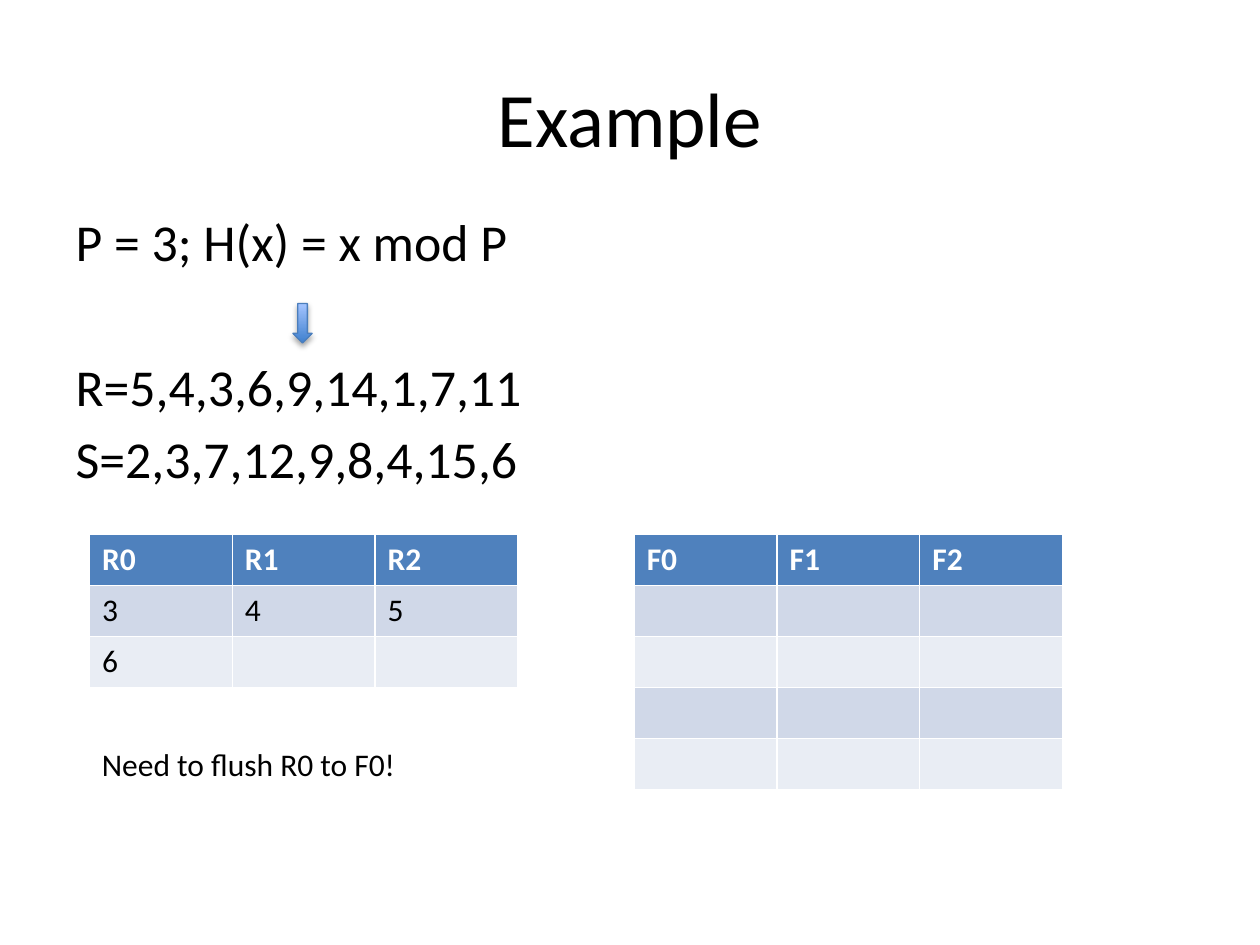
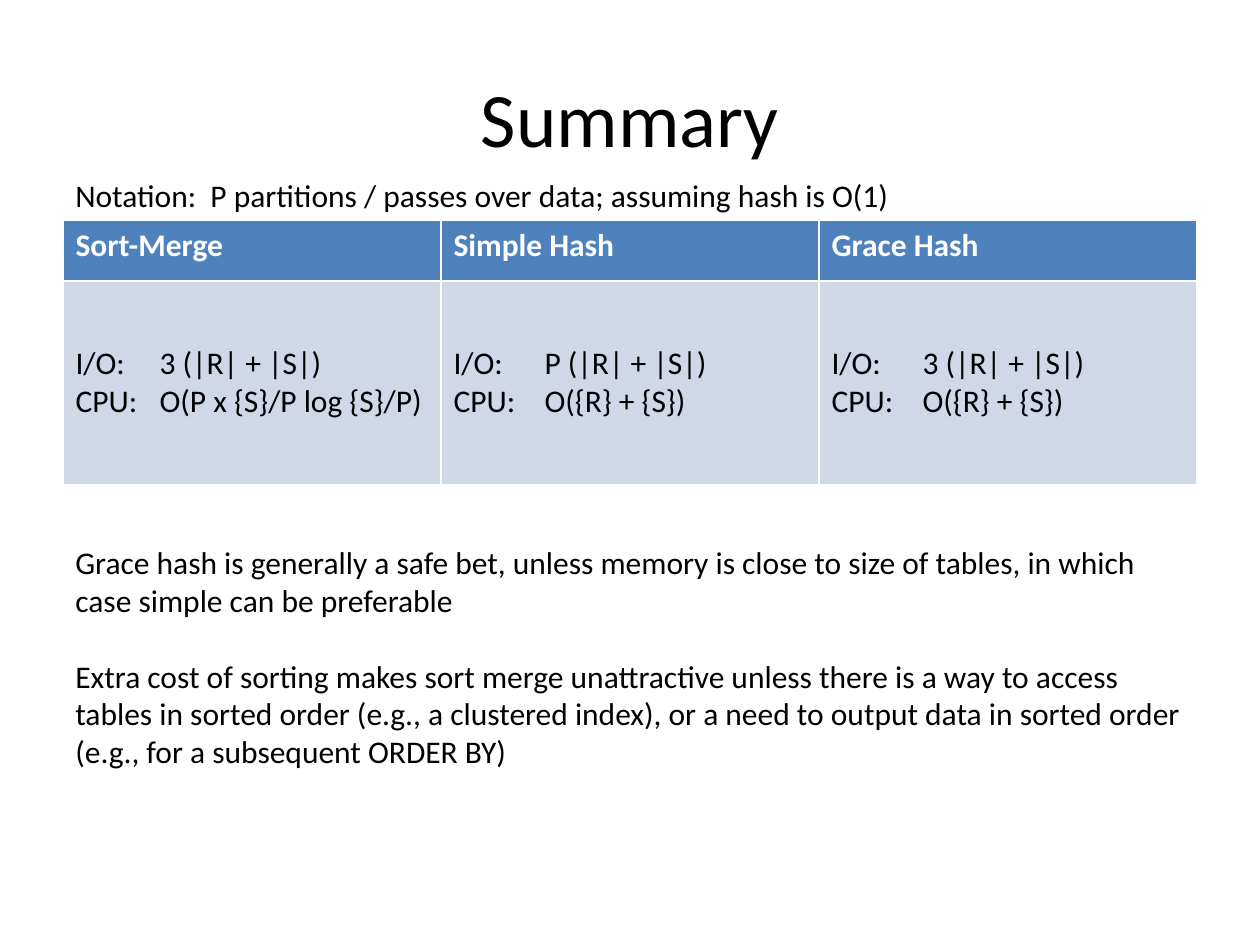
"""Build two slides on hash joins: a worked example and a summary."""
from lxml.etree import SubElement
from pptx import Presentation
from pptx.dml.color import RGBColor
from pptx.enum.shapes import MSO_SHAPE
from pptx.enum.text import MSO_ANCHOR, MSO_AUTO_SIZE, PP_ALIGN
from pptx.oxml.ns import qn
from pptx.util import Pt

FONT = "Calibri"
BLACK = RGBColor(0x00, 0x00, 0x00)
WHITE = RGBColor(0xFF, 0xFF, 0xFF)
HEAD = RGBColor(0x4F, 0x81, 0xBD)
BANDS = [RGBColor(0xE9, 0xED, 0xF4), RGBColor(0xD0, 0xD8, 0xE8)]
DEEP = RGBColor(0x3F, 0x80, 0xCE)
PALE = RGBColor(0xA4, 0xC4, 0xFF)
EDGE = RGBColor(0x4B, 0x7E, 0xBC)
LEFT, WIDTH = 36, 648


def style(frame, size, color=BLACK, bold=False):
    for para in frame.paragraphs:
        for font in [para.font] + [run.font for run in para.runs]:
            font.name = FONT
            font.size = Pt(size)
            font.bold = bold
            font.color.rgb = color


def grid(slide, left, top, width, heights, rows):
    box = slide.shapes.add_table(len(rows), len(rows[0]), Pt(left), Pt(top),
                                 Pt(width), Pt(sum(heights)))
    table = box.table
    for r, (high, row) in enumerate(zip(heights, rows)):
        table.rows[r].height = Pt(high)
        for c, text in enumerate(row):
            cell = table.cell(r, c)
            cell.text_frame.text = text
            style(cell.text_frame, 18, BLACK if r else WHITE, r == 0)
            cell.fill.solid()
            cell.fill.fore_color.rgb = BANDS[r % 2] if r else HEAD
    return table


deck = Presentation()
deck.slide_width, deck.slide_height = Pt(720), Pt(540)
demo = deck.slides.add_slide(deck.slide_layouts[1])
recap = deck.slides.add_slide(deck.slide_layouts[5])

for slide, text in [(demo, "Example"), (recap, "Summary")]:
    title = slide.shapes.title
    title.left, title.top = Pt(LEFT), Pt(21.6)
    title.width, title.height = Pt(WIDTH), Pt(90)
    frame = title.text_frame
    frame.text = text
    frame.vertical_anchor = MSO_ANCHOR.MIDDLE
    frame.paragraphs[0].alignment = PP_ALIGN.CENTER
    style(frame, 44)

body = demo.placeholders[1]
body.left, body.top = Pt(LEFT), Pt(116)
body.width, body.height = Pt(WIDTH), Pt(159)
frame = body.text_frame
frame.text = "P = 3; H(x) = x mod P\nR=5,4,3,6,9,14,1,7,11\nS=2,3,7,12,9,8,4,15,6"
frame.auto_size = MSO_AUTO_SIZE.NONE
style(frame, 29.6)
for para, gap in zip(frame.paragraphs, [5.9, 47.5, 5.9]):
    para.space_before = Pt(gap)
    props = para._p.get_or_add_pPr()
    props.set("marL", "0")
    props.set("indent", "0")
    SubElement(props, qn("a:buNone"))

grid(demo, 51.2, 305.3, 244.8, [29.2] * 3,
     [["R0", "R1", "R2"], ["3", "4", "5"], ["6", "", ""]])
grid(demo, 362.4, 305.3, 244.8, [29.2] * 5,
     [["F0", "F1", "F2"]] + [[""] * 3] * 4)

arrow = demo.shapes.add_shape(MSO_SHAPE.DOWN_ARROW, Pt(167.4), Pt(173.5),
                              Pt(11), Pt(22.5))
arrow.fill.gradient()
arrow.fill.gradient_angle = 90
for stop, color, place in zip(arrow.fill.gradient_stops, [DEEP, PALE], [0, 1]):
    stop.color.rgb = color
    stop.position = place
arrow.line.color.rgb = EDGE
arrow.line.width = Pt(0.75)
arrow.shadow.inherit = False
glow = SubElement(arrow._element.spPr.find(qn("a:effectLst")), qn("a:outerShdw"),
                  blurRad=str(Pt(3.1)), dist=str(Pt(1.8)), dir="5400000",
                  rotWithShape="0")
shade = SubElement(glow, qn("a:srgbClr"), val=str(BLACK))
SubElement(shade, qn("a:alpha"), val="35000")

costs = grid(recap, LEFT, 126, WIDTH, [34.5, 116.5], [
    ["Sort-Merge", "Simple Hash", "Grace Hash"],
    ["I/O:\t3 (|R| + |S|)\nCPU:\tO(P x {S}/P log {S}/P)",
     "I/O:\tP (|R| + |S|)\nCPU:\tO({R} + {S})",
     "I/O:\t3 (|R| + |S|)\nCPU:\tO({R} + {S})"]])
for c, tab in enumerate([48, 52, 52]):
    cell = costs.cell(1, c)
    cell.vertical_anchor = MSO_ANCHOR.MIDDLE
    for para in cell.text_frame.paragraphs:
        props = para._p.get_or_add_pPr()
        stops = props.makeelement(qn("a:tabLst"))
        SubElement(stops, qn("a:tab"), pos=str(Pt(tab)), algn="l")
        props.insert_element_before(stops, "a:defRPr", "a:extLst")

notes = [
    (demo, 51.2, 422, 230, 29, ["Need to flush R0 to F0!"]),
    (recap, LEFT, 97.2, WIDTH, 29,
     ["Notation:  P partitions / passes over data; assuming hash is O(1)"]),
    (recap, LEFT, 306.7, WIDTH, 138,
     ["Grace hash is generally a safe bet, unless memory is close to size of "
      "tables, in which case simple can be preferable",
      "Extra cost of sorting makes sort merge unattractive unless there is a "
      "way to access tables in sorted order (e.g., a clustered index), or a "
      "need to output data in sorted order (e.g., for a subsequent ORDER BY)"]),
]
for slide, left, top, wide, high, lines in notes:
    box = slide.shapes.add_textbox(Pt(left), Pt(top), Pt(wide), Pt(high))
    frame = box.text_frame
    frame.word_wrap = True
    frame.text = "\n".join(lines)
    style(frame, 18)
    for para in frame.paragraphs[1:]:
        para.space_before = Pt(21.8)

deck.save("out.pptx")
